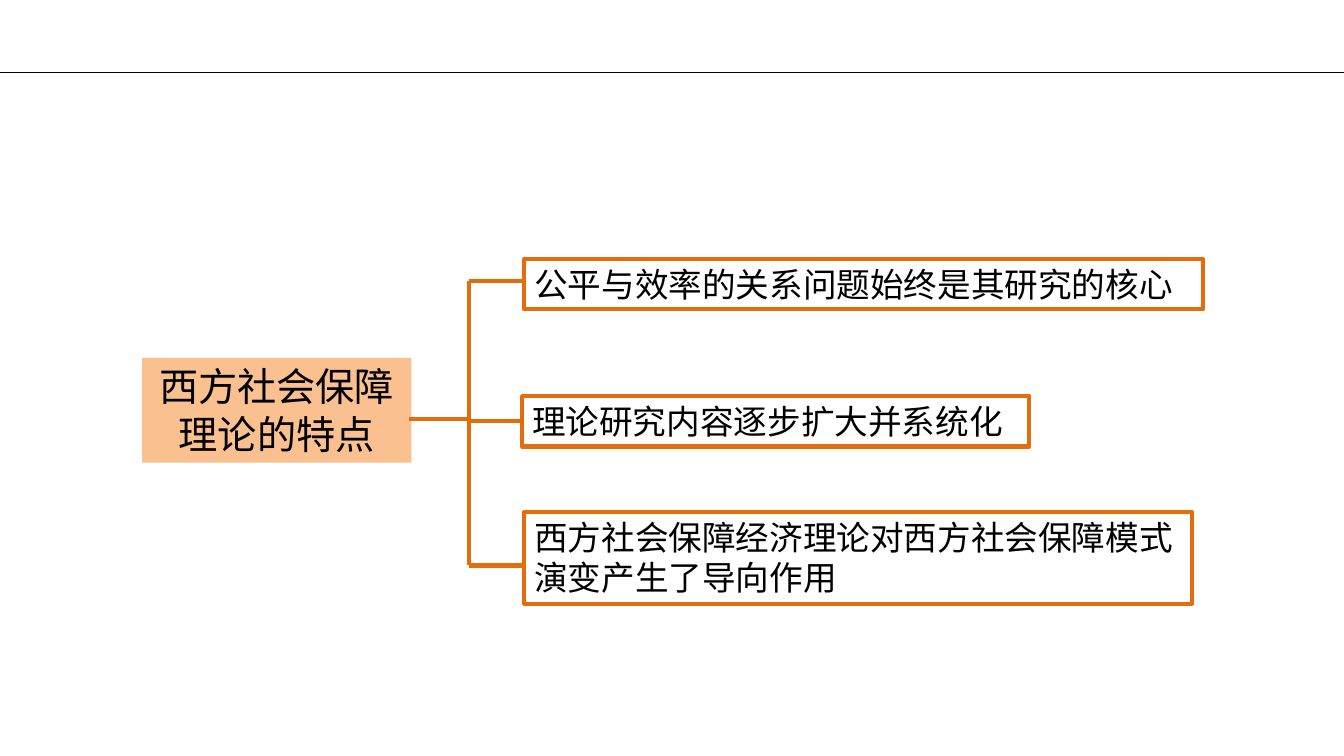
from pptx import Presentation
from pptx.dml.color import RGBColor
from pptx.enum.shapes import MSO_CONNECTOR, MSO_SHAPE
from pptx.enum.text import MSO_ANCHOR, PP_ALIGN
from pptx.oxml.ns import qn
from pptx.util import Inches, Pt
from lxml.etree import SubElement

BLACK = RGBColor(0x00, 0x00, 0x00)
PEACH = RGBColor(0xFA, 0xC0, 0x90)
ORANGE = RGBColor(0xE4, 0x6C, 0x0A)

WIDTH, HEIGHT = 13.33, 7.5
RULE_Y = 0.72
TOPIC = ("西方社会保障\n理论的特点", (1.41, 3.55, 2.67, 1.04))
POINTS = [
    ("公平与效率的关系问题始终是其研究的核心", (5.2, 2.57, 6.73, 0.5), 2.79),
    ("理论研究内容逐步扩大并系统化", (5.18, 3.93, 5.03, 0.5), 4.18),
    ("西方社会保障经济理论对西方社会保障模式演变产生了导向作用",
     (5.2, 5.08, 6.62, 0.91), 5.61),
]
STEM_X, STEM_Y, TRUNK_X = 4.06, 4.16, 4.65


def add_line(slide, start, end, color, weight):
    ends = [Inches(n) for n in (*start, *end)]
    line = slide.shapes.add_connector(MSO_CONNECTOR.STRAIGHT, *ends)
    line.line.color.rgb = color
    line.line.width = Pt(weight)
    SubElement(line._element.spPr, qn("a:effectLst"))


def add_box(slide, text, place, size, align):
    box = slide.shapes.add_shape(MSO_SHAPE.RECTANGLE, *[Inches(n) for n in place])
    box.shadow.inherit = False
    frame = box.text_frame
    frame.text = text
    frame.word_wrap = True
    frame.vertical_anchor = MSO_ANCHOR.TOP
    for para in frame.paragraphs:
        para.alignment = align
        for run in para.runs:
            run.font.size = Pt(size)
            run.font.name = "Calibri"
            run.font.color.rgb = BLACK
    return box


def main():
    """Build the tree of features and save it."""
    deck = Presentation()
    deck.slide_width, deck.slide_height = Inches(WIDTH), Inches(HEIGHT)
    slide = deck.slides.add_slide(deck.slide_layouts[6])

    add_line(slide, (0, RULE_Y), (WIDTH, RULE_Y), BLACK, 1)
    topic = add_box(slide, *TOPIC, 28, PP_ALIGN.CENTER)
    topic.fill.solid()
    topic.fill.fore_color.rgb = PEACH
    topic.line.fill.background()

    add_line(slide, (STEM_X, STEM_Y), (TRUNK_X, STEM_Y), ORANGE, 3)
    for text, place, branch in POINTS:
        add_line(slide, (TRUNK_X, branch), (place[0], branch), ORANGE, 3)
        point = add_box(slide, text, place, 24, PP_ALIGN.LEFT)
        point.fill.background()
        point.line.color.rgb = ORANGE
        point.line.width = Pt(3)
    add_line(slide, (TRUNK_X, POINTS[-1][2]), (TRUNK_X, POINTS[0][2]), ORANGE, 3)

    deck.save("out.pptx")


if __name__ == "__main__":
    main()
